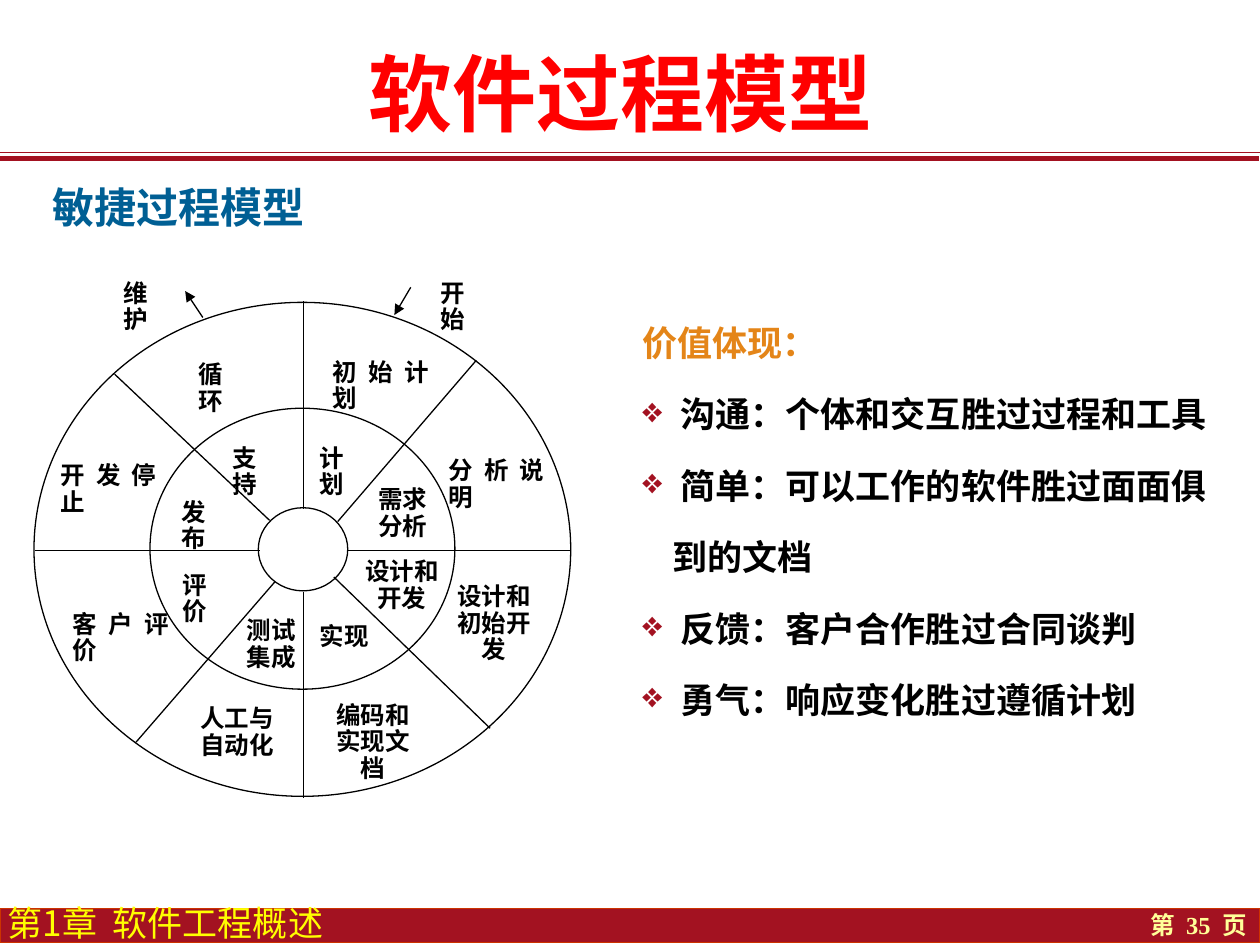
"""Build the agile process model slide with its wheel diagram and list of values."""
from dataclasses import dataclass

from lxml import etree
from pptx import Presentation
from pptx.dml.color import RGBColor
from pptx.enum.shapes import MSO_CONNECTOR, MSO_SHAPE
from pptx.enum.text import MSO_ANCHOR, MSO_AUTO_SIZE, PP_ALIGN
from pptx.oxml.ns import qn
from pptx.util import Emu, Pt

LEFT, CENTER, RIGHT, JUSTIFY = PP_ALIGN.LEFT, PP_ALIGN.CENTER, PP_ALIGN.RIGHT, PP_ALIGN.JUSTIFY
TOP, MIDDLE, BOTTOM = MSO_ANCHOR.TOP, MSO_ANCHOR.MIDDLE, MSO_ANCHOR.BOTTOM
NO_FIT = MSO_AUTO_SIZE.NONE
STRAIGHT = MSO_CONNECTOR.STRAIGHT
OVAL, RECT = MSO_SHAPE.OVAL, MSO_SHAPE.RECTANGLE

EMU_PER_PX = 9144
CJK, SERIF = "Noto Sans CJK SC", "Times New Roman"
RED, BLACK, WHITE = "A31221", "000000", "FFFFFF"


@dataclass
class Style:
    """Text format of one box."""
    size: int
    color: str
    font: str = SERIF
    bold: bool = True
    align: PP_ALIGN = LEFT
    spacing: float = 1.0
    anchor: MSO_ANCHOR = TOP
    inset: tuple = (10, 5)


@dataclass
class Label:
    """Text in or around the wheel."""
    lines: tuple
    x: int
    y: int
    w: int
    h: int = 33
    align: PP_ALIGN = JUSTIFY


RINGS = [(27, 240, 426, 392), (119, 324, 242, 223), (205, 403, 71, 66)]
SPOKES = [
    (28, 437, 206, 437), (241, 239, 241, 404), (91, 297, 214, 413), (241, 470, 241, 633),
    (275, 437, 453, 437), (265, 458, 389, 578), (378, 286, 268, 414), (218, 462, 108, 589),
]
ARROWS = [(326, 228, 313, 250), (161, 252, 147, 231)]
LABELS = [
    Label(("初始计划",), 254, 281, 96),
    Label(("计划",), 244, 349, 55),
    Label(("分析说明",), 346, 359, 96),
    Label(("需求分析",), 285, 382, 69, 55, CENTER),
    Label(("设计和", "开发"), 271, 439, 96, 55, CENTER),
    Label(("设计和", "初始开发"), 344, 459, 96, 55, CENTER),
    Label(("实现",), 244, 491, 68),
    Label(("编码和", "实现文档"), 248, 553, 96, 55, CENTER),
    Label(("测试", "集成"), 186, 486, 67, 55),
    Label(("人工与", "自动化"), 147, 556, 82, 55, CENTER),
    Label(("客户评价",), 48, 481, 96),
    Label(("评价",), 135, 450, 55),
    Label(("发布",), 134, 392, 55),
    Label(("开发停止",), 38, 363, 96),
    Label(("循环",), 148, 283, 55),
    Label(("支持",), 175, 349, 55),
    Label(("开始",), 340, 218, 55),
    Label(("维护",), 88, 218, 55),
]
VALUES = [
    "价值体现：",
    " 沟通：个体和交互胜过过程和工具",
    " 简单：可以工作的软件胜过面面俱到的文档",
    " 反馈：客户合作胜过合同谈判",
    " 勇气：响应变化胜过遵循计划",
]


def px(n: int) -> Emu:
    """Turn px into EMU."""
    return Emu(n * EMU_PER_PX)


def rgb(color: str) -> RGBColor:
    """Turn a hex string into a colour."""
    return RGBColor.from_string(color)


def apply(target, values: dict) -> None:
    """Set attributes from a dict."""
    for name, value in values.items():
        setattr(target, name, value)


def write(sp, lines, style: Style) -> None:
    """Write one paragraph per line in one style."""
    tf = sp.text_frame
    dx, dy = map(px, style.inset)
    apply(tf, dict(word_wrap=True, auto_size=NO_FIT, vertical_anchor=style.anchor,
                   margin_left=dx, margin_right=dx, margin_top=dy, margin_bottom=dy))
    for i, line in enumerate(lines):
        p = tf.add_paragraph() if i else tf.paragraphs[0]
        apply(p, dict(alignment=style.align, line_spacing=style.spacing))
        r = p.add_run()
        r.text = line
        apply(r.font, dict(size=Pt(style.size), bold=style.bold, name=style.font))
        r.font.color.rgb = rgb(style.color)
        etree.SubElement(r.font._element, qn("a:ea"), typeface=CJK)


def add_text(shapes, box, lines, style: Style):
    """Add a text box."""
    sp = shapes.add_textbox(*map(px, box))
    write(sp, lines, style)
    return sp


def add_solid(shapes, kind, box, fill: str, line: str) -> None:
    """Add a filled shape with a thin outline."""
    sp = shapes.add_shape(kind, *map(px, box))
    sp.shadow.inherit = False
    sp.fill.solid()
    sp.fill.fore_color.rgb = rgb(fill)
    sp.line.color.rgb = rgb(line)
    sp.line.width = Pt(0.75)


def add_line(shapes, ends, color: str = BLACK, width: float = 0.75, arrow: bool = False) -> None:
    """Add a straight line, with an arrowhead at its end if asked."""
    sp = shapes.add_connector(STRAIGHT, *map(px, ends))
    sp.line.color.rgb = rgb(color)
    sp.line.width = Pt(width)
    if arrow:
        etree.SubElement(sp.line._get_or_add_ln(), qn("a:tailEnd"), type="triangle")
    etree.SubElement(sp._element.spPr, qn("a:effectLst"))


def add_bullet(p) -> None:
    """Give a paragraph a hanging diamond bullet."""
    pPr = p._p.get_or_add_pPr()
    apply_indent = dict(marL=px(24), indent=-px(24))
    for name, value in apply_indent.items():
        pPr.set(name, str(value))
    clr = etree.SubElement(pPr, qn("a:buClr"))
    etree.SubElement(clr, qn("a:srgbClr"), val=RED)
    etree.SubElement(pPr, qn("a:buChar"), char="❖")


def add_frame(shapes) -> None:
    """Add the header rules and the footer bar."""
    add_line(shapes, (0, 121, 1000, 121), RED)
    add_line(shapes, (-1, 126, 999, 126), RED, 3)
    add_solid(shapes, RECT, (0, 721, 1000, 27), RED, "CC3300")
    add_text(shapes, (843, 717, 157, 33), ["第  35  页"], Style(14, "FFFF99", align=RIGHT))
    add_text(shapes, (6, 724, 300, 25), ["第1章  软件工程概述"],
             Style(20, "FFFF00", CJK, False, spacing=0.85, anchor=BOTTOM, inset=(0, 0)))


def add_wheel(shapes) -> None:
    """Add the process wheel as one group."""
    wheel = shapes.add_group_shape().shapes
    for ring in RINGS:
        add_solid(wheel, OVAL, ring, WHITE, BLACK)
    for spoke in SPOKES:
        add_line(wheel, spoke)
    for lb in LABELS:
        add_text(wheel, (lb.x, lb.y, lb.w, lb.h), lb.lines,
                 Style(14, BLACK, align=lb.align, spacing=0.9))
    for arrow in ARROWS:
        add_line(wheel, arrow, arrow=True)


def add_values(shapes) -> None:
    """Add the heading and bulleted list of values."""
    sp = add_text(shapes, (500, 227, 480, 353), VALUES, Style(20, BLACK, spacing=1.7))
    heading, *items = sp.text_frame.paragraphs
    heading.runs[0].font.color.rgb = rgb("E48518")
    for p in items:
        add_bullet(p)


def main() -> None:
    """Build and save the slide."""
    prs = Presentation()
    apply(prs, dict(slide_width=px(1000), slide_height=px(750)))
    s = prs.slides.add_slide(prs.slide_layouts[5])
    title = s.shapes.title
    apply(title, dict(left=px(42), top=px(142), width=px(269), height=px(42)))
    write(title, ["敏捷过程模型"],
          Style(24, "005F94", CJK, spacing=0.85, anchor=BOTTOM, inset=(0, 0)))
    add_frame(s.shapes)
    add_values(s.shapes)
    add_text(s.shapes, (283, 42, 433, 75), ["软件过程模型"],
             Style(48, "FF0000", CJK, spacing=0.85, anchor=MIDDLE))
    add_wheel(s.shapes)
    prs.save("out.pptx")


if __name__ == "__main__":
    main()
